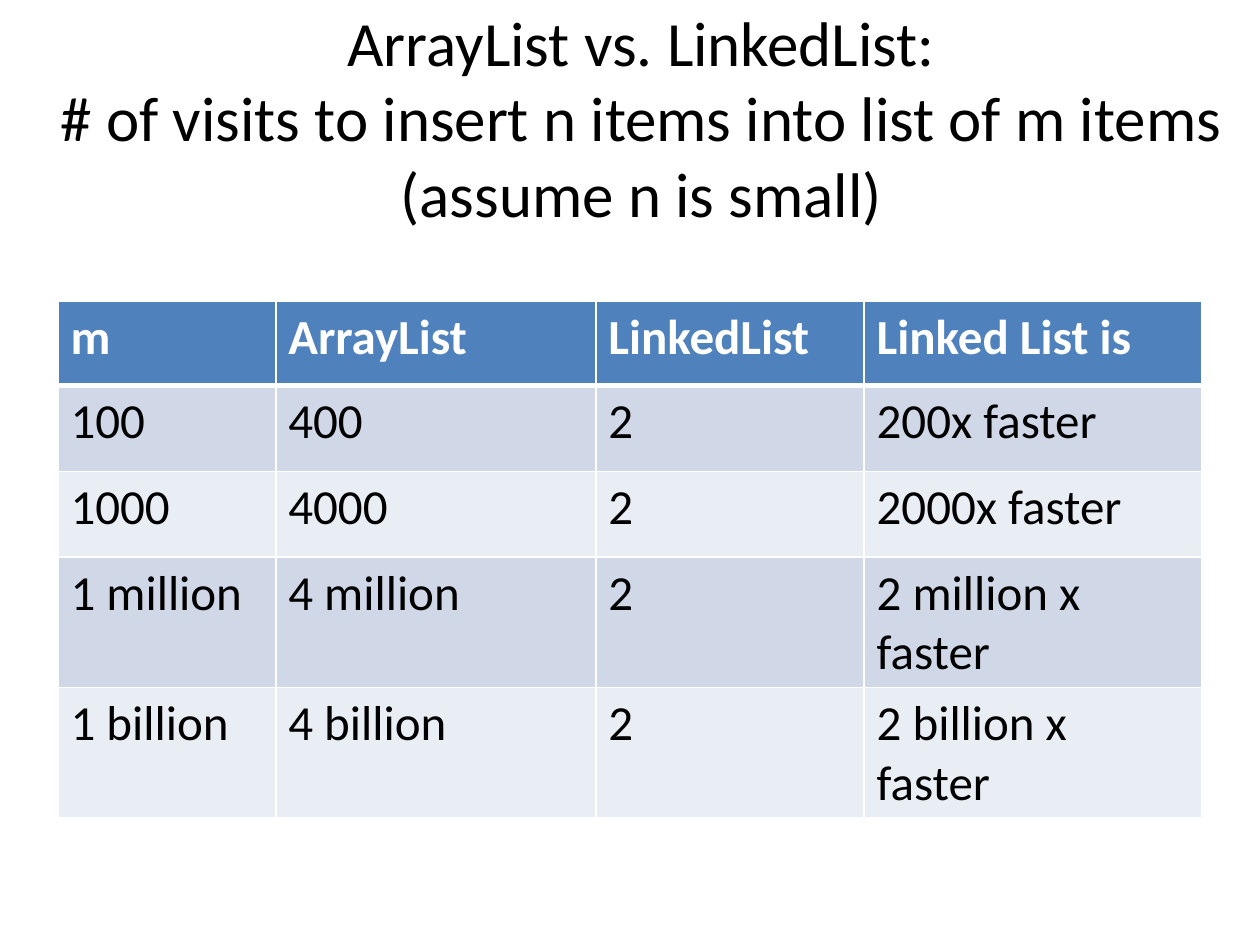
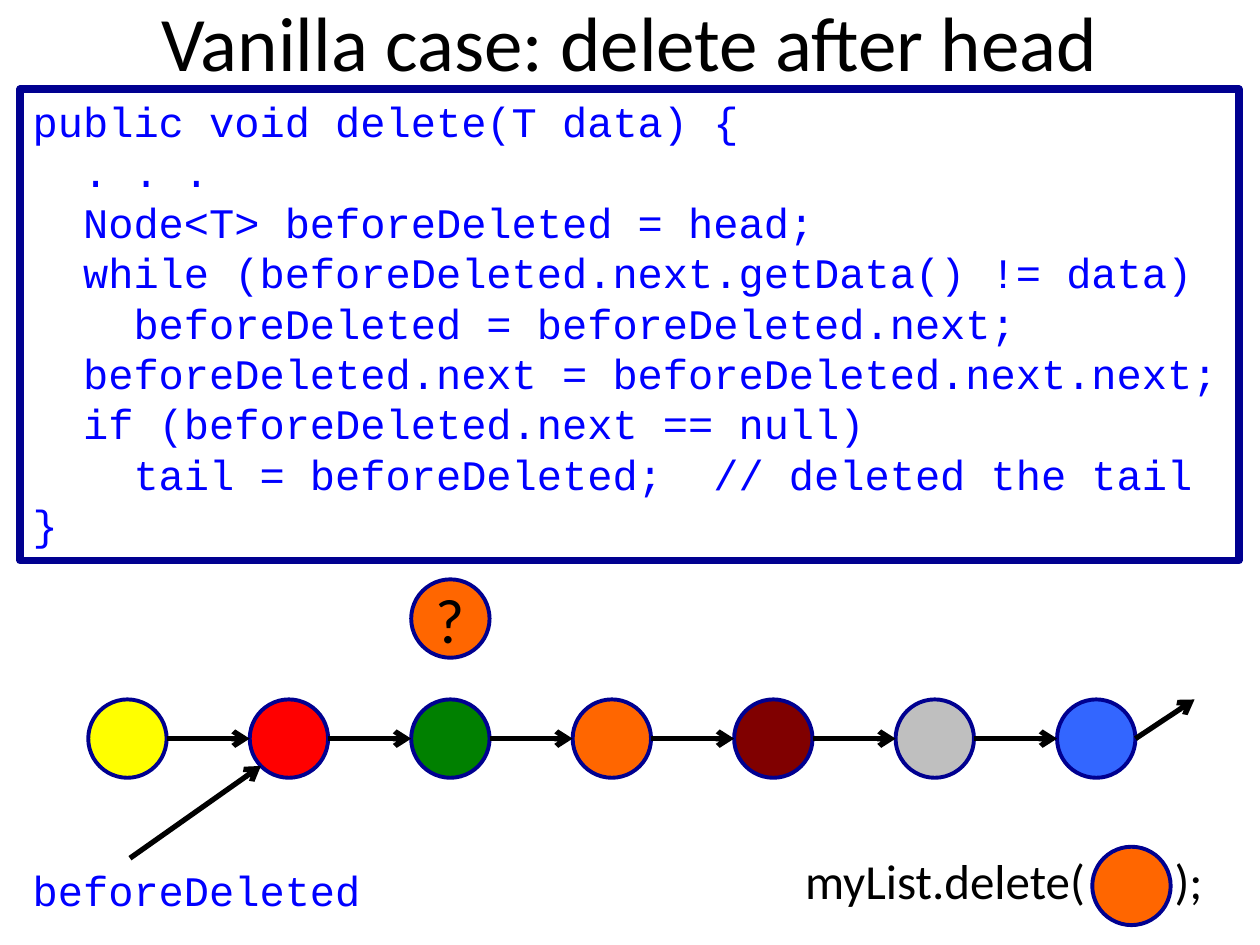
from dataclasses import dataclass

from lxml import etree
from pptx import Presentation
from pptx.dml.color import RGBColor
from pptx.enum.shapes import MSO_CONNECTOR, MSO_SHAPE
from pptx.enum.text import MSO_ANCHOR, PP_ALIGN
from pptx.oxml.ns import qn
from pptx.util import Cm, Pt

STRAIGHT = MSO_CONNECTOR.STRAIGHT
RECTANGLE, OVAL = MSO_SHAPE.RECTANGLE, MSO_SHAPE.OVAL
LEFT, CENTER = PP_ALIGN.LEFT, PP_ALIGN.CENTER
TOP, MIDDLE = MSO_ANCHOR.TOP, MSO_ANCHOR.MIDDLE

COMPARISON_TITLE = (
    "ArrayList vs. LinkedList:\v"
    "# of visits to insert n items into list of m items\v"
    "(assume n is small)"
)
COMPARISON = [
    ("m", "ArrayList", "LinkedList", "Linked List is"),
    ("100", "400", "2", "200x faster"),
    ("1000", "4000", "2", "2000x faster"),
    ("1 million", "4 million", "2", "2 million x faster"),
    ("1 billion", "4 billion", "2", "2 billion x faster"),
]
COLUMN_WIDTHS = (4.39, 6.45, 5.41, 6.81)
HEADER_HEIGHT, ROW_HEIGHT = 1.7, 1.73

DELETE_TITLE = "Vanilla case: delete after head"
DELETE_CODE = """public void delete(T data) {
  . . .
  Node<T> beforeDeleted = head;
  while (beforeDeleted.next.getData() != data)
    beforeDeleted = beforeDeleted.next;
  beforeDeleted.next = beforeDeleted.next.next;
  if (beforeDeleted.next == null)
    tail = beforeDeleted;  // deleted the tail
}"""
POINTER_NAME = "beforeDeleted"
DELETE_CALL = "myList.delete(\t);"
CALL_GAP_END = 7.45

NODE_COLORS = ("FFFF00", "FF0000", "008000", "FF6600", "800000", "BFBFBF", "3366FF")
DELETED_COLOR = NODE_COLORS[3]
NODE_SIZE = 1.58
FIRST_NODE_LEFT, LAST_NODE_LEFT, NODE_TOP = 1.78, 21.31, 14.1


@dataclass(frozen=True)
class Theme:
    text: str = "000000"
    white: str = "FFFFFF"
    code: str = "0000FF"
    outline: str = "000090"
    header: str = "4F81BD"
    bands: tuple = ("D0D8E8", "E9EDF4")
    body_font: str = "Calibri"
    code_font: str = "Courier New"
    title_size: int = 44
    long_title_size: int = 36
    body_size: int = 28
    code_size: int = 24
    code_pitch: float = 28.8
    code_border: float = 4.5
    node_border: float = 2.25
    arrow_width: float = 3


THEME = Theme()
BODY = {"name": THEME.body_font, "size": Pt(THEME.body_size), "bold": False}
HEADING = {**BODY, "bold": True}
TITLE = {**BODY, "size": Pt(THEME.title_size)}
LONG_TITLE = {**BODY, "size": Pt(THEME.long_title_size)}
CODE = {**BODY, "name": THEME.code_font, "size": Pt(THEME.code_size)}


def rgb(color):
    return RGBColor.from_string(color)


def write(frame, text, style, color=THEME.text, align=LEFT, anchor=TOP, pitch=None, tab=None):
    frame.text = text
    frame.word_wrap = True
    frame.vertical_anchor = anchor
    for paragraph in frame.paragraphs:
        paragraph.alignment = align
        if pitch:
            paragraph.line_spacing = Pt(pitch)
        if tab:
            stops = etree.SubElement(paragraph._p.get_or_add_pPr(), qn("a:tabLst"))
            etree.SubElement(stops, qn("a:tab"), pos=str(Cm(tab)), algn="l")
        for run in paragraph.runs:
            for attribute, value in style.items():
                setattr(run.font, attribute, value)
            run.font.color.rgb = rgb(color)


def add_text(slide, box, text, style, **layout):
    write(slide.shapes.add_textbox(*map(Cm, box)).text_frame, text, style, **layout)


def add_title(slide, box, text, style):
    add_text(slide, box, text, style, align=CENTER, anchor=MIDDLE)


def add_outlined(slide, kind, box, border, fill=None):
    shape = slide.shapes.add_shape(kind, *map(Cm, box))
    shape.shadow.inherit = False
    if fill:
        shape.fill.solid()
        shape.fill.fore_color.rgb = rgb(fill)
    else:
        shape.fill.background()
    shape.line.color.rgb = rgb(THEME.outline)
    shape.line.width = Pt(border)
    return shape


def add_node(slide, left, top, color):
    return add_outlined(slide, OVAL, (left, top, NODE_SIZE, NODE_SIZE), THEME.node_border, color)


def add_arrow(slide, start, end):
    arrow = slide.shapes.add_connector(STRAIGHT, *map(Cm, start + end))
    arrow.line.color.rgb = rgb(THEME.text)
    arrow.line.width = Pt(THEME.arrow_width)
    etree.SubElement(arrow.line._get_or_add_ln(), qn("a:tailEnd"), type="arrow")
    etree.SubElement(arrow._element.spPr, qn("a:effectLst"))


def format_cell(cell, fill, borders):
    properties = cell._tc.get_or_add_tcPr()
    for side, width in borders.items():
        line = etree.SubElement(properties, qn(f"a:ln{side}"), w=str(Pt(width)))
        paint = etree.SubElement(line, qn("a:solidFill"))
        etree.SubElement(paint, qn("a:srgbClr"), val=THEME.white)
    cell.fill.solid()
    cell.fill.fore_color.rgb = rgb(fill)


def build_comparison(slide):
    add_title(slide, (0, 0.76, 25.86, 3.18), COMPARISON_TITLE, LONG_TITLE)
    heights = [HEADER_HEIGHT] + [ROW_HEIGHT] * (len(COMPARISON) - 1)
    visits = slide.shapes.add_table(
        len(COMPARISON), len(COLUMN_WIDTHS),
        *map(Cm, (1.17, 6.07, sum(COLUMN_WIDTHS), sum(heights))),
    ).table
    for column, width in zip(visits.columns, COLUMN_WIDTHS):
        column.width = Cm(width)
    for r, values in enumerate(COMPARISON):
        visits.rows[r].height = Cm(heights[r])
        header = r == 0
        fill = THEME.header if header else THEME.bands[(r - 1) % 2]
        borders = {"L": 1, "R": 1, "T": 3 if r == 1 else 1, "B": 3 if header else 1}
        for c, value in enumerate(values):
            cell = visits.cell(r, c)
            write(cell.text_frame, value, HEADING if header else BODY,
                  color=THEME.white if header else THEME.text)
            format_cell(cell, fill, borders)


def build_delete(slide):
    code_box = add_outlined(slide, RECTANGLE, (0.41, 1.8, 24.56, 9.5), THEME.code_border)
    code_look = {"color": THEME.code, "pitch": THEME.code_pitch}
    write(code_box.text_frame, DELETE_CODE, CODE, **code_look)
    add_title(slide, (1.27, -0.76, 22.86, 3.18), DELETE_TITLE, TITLE)

    pitch = (LAST_NODE_LEFT - FIRST_NODE_LEFT) / (len(NODE_COLORS) - 1)
    lefts = [FIRST_NODE_LEFT + i * pitch for i in range(len(NODE_COLORS))]
    middle = NODE_TOP + NODE_SIZE / 2
    for left, color in zip(lefts, NODE_COLORS):
        add_node(slide, left, NODE_TOP, color)
    for left, following in zip(lefts, lefts[1:]):
        add_arrow(slide, (left + NODE_SIZE, middle), (following, middle))
    add_arrow(slide, (LAST_NODE_LEFT + NODE_SIZE, middle), (24.08, NODE_TOP))

    add_node(slide, 22.02, 17.07, DELETED_COLOR)
    add_text(slide, (15.98, 17.02, 8.59, 1.45), DELETE_CALL, BODY, tab=CALL_GAP_END)
    add_text(slide, (0.41, 17.3, 7.3, 1.27), POINTER_NAME, CODE, **code_look)
    add_arrow(slide, (2.62, 17.3), (5.26, 15.44))
    wanted = add_node(slide, lefts[2], 11.68, DELETED_COLOR)
    write(wanted.text_frame, "?", LONG_TITLE, align=CENTER, anchor=MIDDLE)


def main():
    deck = Presentation()
    deck.slide_width, deck.slide_height = Cm(25.4), Cm(19.05)
    for build in (build_comparison, build_delete):
        build(deck.slides.add_slide(deck.slide_layouts[6]))
    deck.save("out.pptx")


if __name__ == "__main__":
    main()
